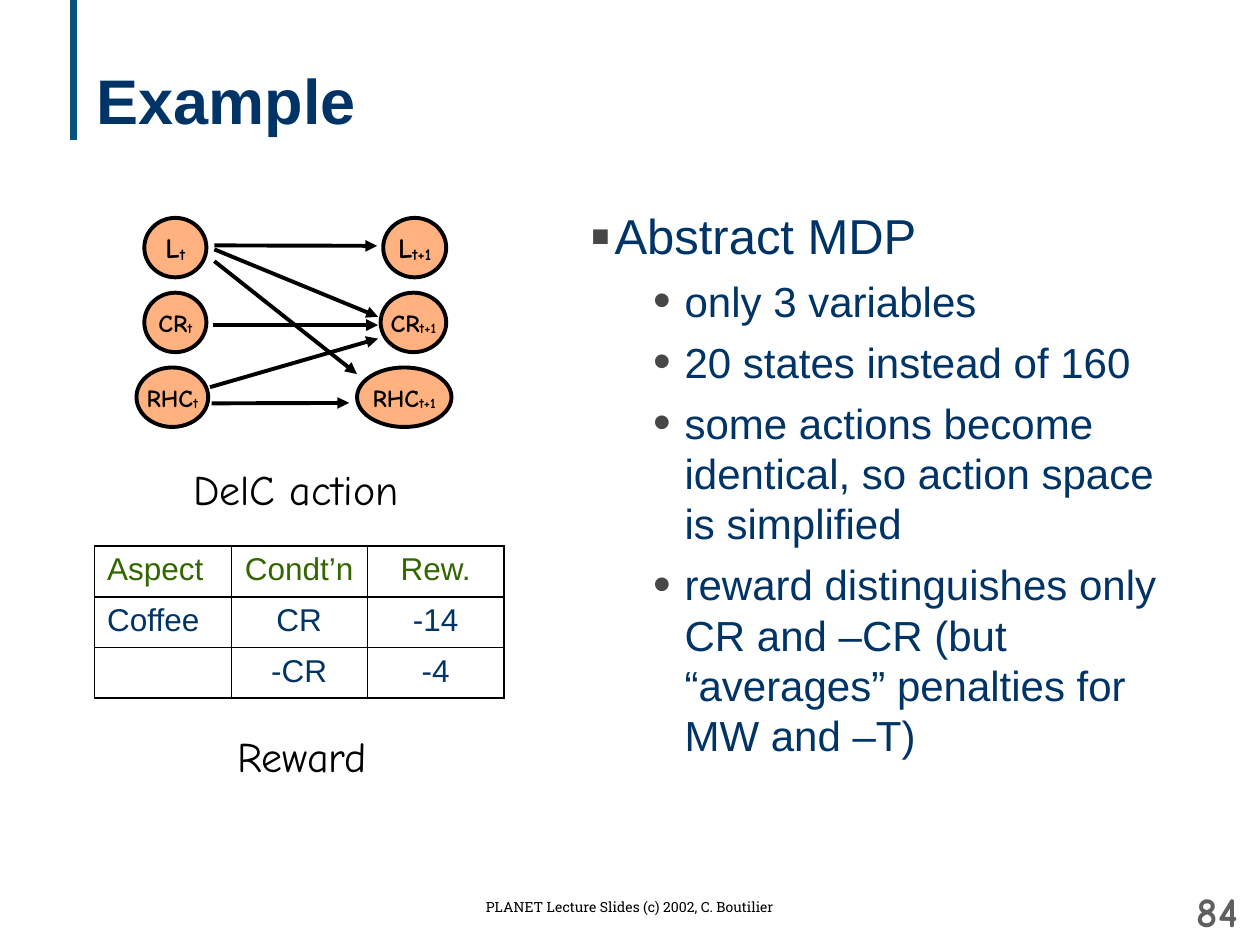
import pptx
import pptx.util
import pptx.oxml
import pptx.oxml.ns
import pptx.dml.color
import pptx.enum.shapes
import pptx.enum.text
from lxml import etree

Pt = pptx.util.Pt
qn = pptx.oxml.ns.qn
Align = pptx.enum.text.PP_ALIGN
Mid = pptx.enum.text.MSO_ANCHOR.MIDDLE
Line = pptx.enum.shapes.MSO_CONNECTOR.STRAIGHT
Oval = pptx.enum.shapes.MSO_SHAPE.OVAL
hues = {"navy": "003366", "teal": "07547A", "gray": "474747", "page": "5F5F5F",
        "peach": "FF6600", "green": "336600", "black": "000000"}
rgb = {name: pptx.dml.color.RGBColor.from_string(code) for name, code in hues.items()}


def style(para, size, face, hue, bold=False, align=None):
    para.alignment = align
    font = para.font
    font.size, font.name, font.bold = Pt(size), face, bold
    font.color.rgb = rgb[hue]


def draw_line(start, end, hue, width, arrow=True):
    line = slide.shapes.add_connector(Line, *[Pt(n) for n in start + end])
    line.line.color.rgb = rgb[hue]
    line.line.width = Pt(width)
    if arrow:
        etree.SubElement(line.line._get_or_add_ln(), qn("a:tailEnd"), type="triangle")
    etree.SubElement(line._element.spPr, qn("a:effectLst"))


deck = pptx.Presentation()
deck.slide_width, deck.slide_height = Pt(720), Pt(540)
slide = deck.slides.add_slide(deck.slide_layouts[1])

# Title with accent bar
draw_line((42, 0), (42, 80), "teal", 4, arrow=False)
title = slide.shapes.title
title.left, title.top, title.width, title.height = Pt(48), Pt(12), Pt(642), Pt(90)
title.text_frame.text = "Example"
title.text_frame.vertical_anchor = Mid
style(title.text_frame.paragraphs[0], 36, "Arial", "navy", True, Align.LEFT)

# Bullet list
body = slide.placeholders[1]
body.left, body.top, body.width, body.height = Pt(330), Pt(114), Pt(360), Pt(376)
points = ["Abstract MDP", "only 3 variables", "20 states instead of 160",
          "some actions become identical, so action space is simplified",
          "reward distinguishes only CR and –CR (but “averages” penalties for MW and –T)"]
body.text_frame.text = "\n".join(points)
for i, para in enumerate(body.text_frame.paragraphs):
    para.level = min(i, 1)
    para.space_before = Pt(6 if i else 0)
    mark, left, hang, size = ("•", 54, 18, 24) if i else ("▪", 14, 14, 28)
    props = para._p.get_or_add_pPr()
    props.set("marL", str(Pt(left)))
    props.set("indent", str(-Pt(hang)))
    tint = etree.SubElement(props, qn("a:buClr"))
    etree.SubElement(tint, qn("a:srgbClr"), val=hues["gray"])
    etree.SubElement(props, qn("a:buSzPct"), val="120000")
    etree.SubElement(props, qn("a:buFont"), typeface="Arial")
    etree.SubElement(props, qn("a:buChar"), char=mark)
    style(para, size, "Arial", "navy")

# Network nodes: name, size, then left and width for each time step
rows = [("L", 16, (82.5, 35.5), (219, 36)),
        ("CR", 14, (82.5, 35.5), (217.5, 37.5)),
        ("RHC", 14, (78, 41), (204, 54))]
for step, sub in enumerate(["t", "t+1"]):
    for i, (name, size, *spans) in enumerate(rows):
        left, width = spans[step]
        node = slide.shapes.add_shape(Oval, Pt(left), Pt(124.5 + 42.75 * i), Pt(width), Pt(34))
        node.shadow.inherit = False
        node.fill.solid()
        node.fill.fore_color.rgb = rgb["peach"]
        tint = node._element.spPr.find(qn("a:solidFill"))[0]
        etree.SubElement(tint, qn("a:alpha"), val="50000")
        node.line.color.rgb = rgb["black"]
        node.line.width = Pt(2.25)
        node.text_frame.word_wrap = False
        node.text_frame.vertical_anchor = Mid
        para = node.text_frame.paragraphs[0]
        style(para, size, "Comic Neue", "black", True, Align.CENTER)
        para.add_run().text = name
        low = para.add_run()
        low.text = sub
        low.font._element.set("baseline", "-6000")

# Network arrows
arrows = [((122.5, 142.5), (216, 181)), ((121.5, 185.75), (216, 185.75)),
          ((120, 221.25), (216, 193.5)), ((121, 230.5), (199.5, 230.25)),
          ((122.5, 140.25), (215.5, 140.5)), ((122.5, 149.25), (204, 213.75))]
for start, end in arrows:
    draw_line(start, end, "black", 2.25)

# Reward table
grid = [["Aspect", "Condt’n", "Rew."], ["Coffee", "CR", "-14"], ["", "-CR", "-4"]]
table = slide.shapes.add_table(3, 3, Pt(54), Pt(312), Pt(234), Pt(87)).table
table.first_row = table.horz_banding = False
for r, words in enumerate(grid):
    table.rows[r].height = Pt(29)
    for c, word in enumerate(words):
        table.columns[c].width = Pt(78)
        cell = table.cell(r, c)
        cell.text = word
        cell.fill.background()
        style(cell.text_frame.paragraphs[0], 18, "Arial", "navy" if r else "green",
              align=Align.CENTER if c else Align.LEFT)
        thick = {"L": c == 0, "R": c == 2, "T": r < 2, "B": r != 1}
        props = cell._tc.get_or_add_tcPr()
        for i, (side, heavy) in enumerate(thick.items()):
            edge = etree.Element(qn(f"a:ln{side}"), w=str(Pt(1.08 if heavy else 0.45)))
            fill = etree.SubElement(edge, qn("a:solidFill"))
            etree.SubElement(fill, qn("a:srgbClr"), val=hues["black"])
            props.insert(i, edge)

# Captions, footer and page number
notes = [("DelC action", 103, 261.5, 132, 36, 24, "Comic Neue", "black", False, Align.CENTER),
         ("Reward", 128, 414, 89, 36, 24, "Comic Neue", "black", False, Align.CENTER),
         ("PLANET Lecture Slides (c) 2002, C. Boutilier", 198, 510, 324, 18, 8,
          "Roboto Slab", "black", False, Align.CENTER),
         ("84", 662.5, 506, 52, 29, 24, "Comic Neue", "page", True, Align.RIGHT)]
for text, left, top, width, height, *look in notes:
    box = slide.shapes.add_textbox(Pt(left), Pt(top), Pt(width), Pt(height))
    box.text_frame.word_wrap = look[0] == 8 or text == "84"
    if text == "84":
        box.text_frame.vertical_anchor = Mid
    box.text_frame.text = text
    style(box.text_frame.paragraphs[0], *look)

deck.save("out.pptx")
